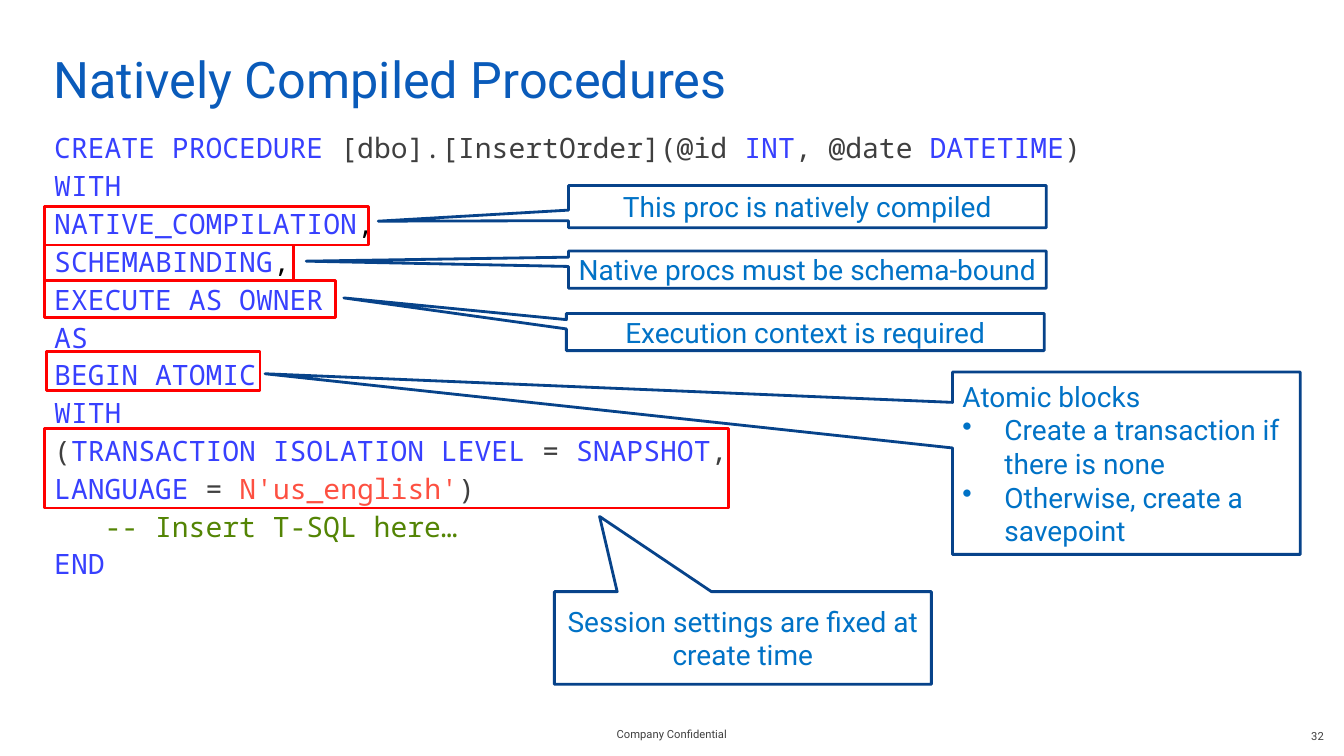
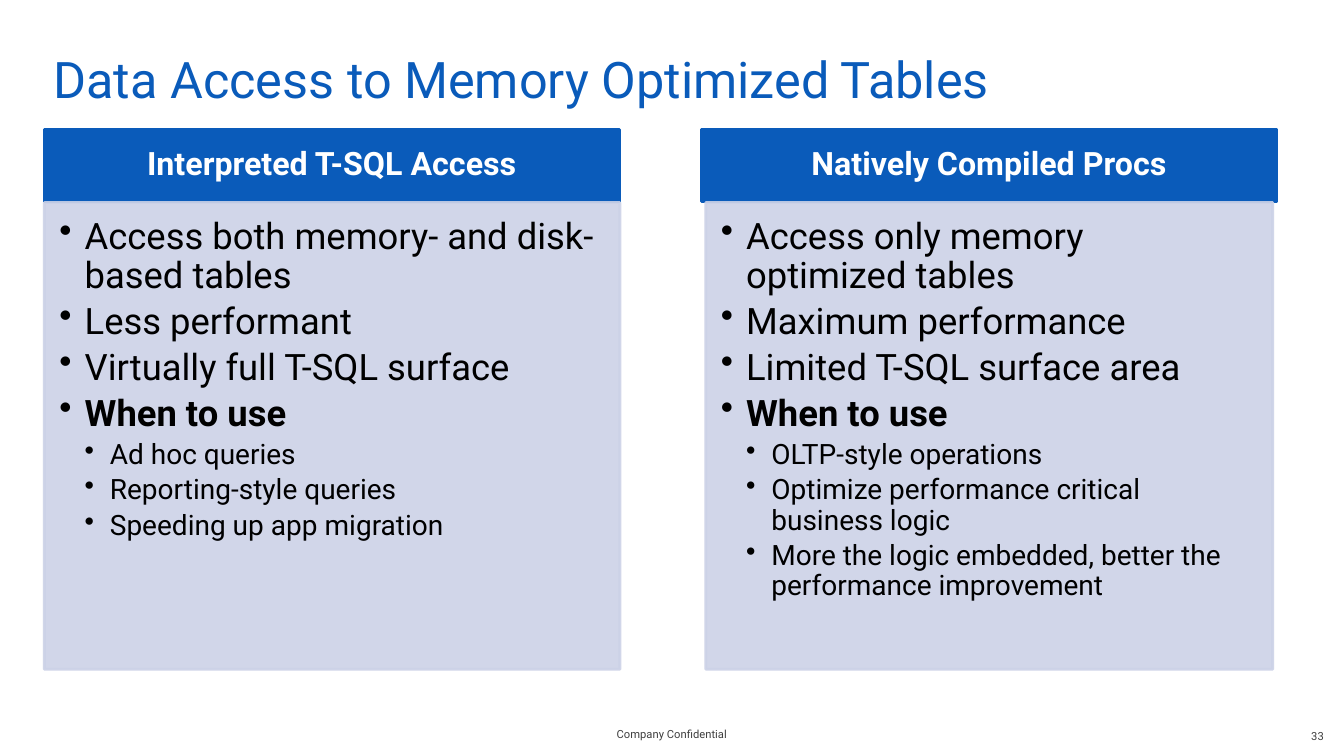
import pptx
import pptx.dml.color
import pptx.enum.shapes
import pptx.enum.text
import pptx.oxml.ns
import pptx.util
from lxml import etree

Pt = pptx.util.Pt
SHAPE = pptx.enum.shapes.MSO_SHAPE
ALIGN = pptx.enum.text.PP_ALIGN
ANCHOR = pptx.enum.text.MSO_ANCHOR

SLIDE_WIDTH, SLIDE_HEIGHT = 960, 540
TEXT_FONT, CODE_FONT = "Roboto", "Noto Sans Mono"
BRAND_BLUE, CALLOUT_TEXT, CALLOUT_LINE = "0A5BBA", "0072C6", "07438A"
PANEL, RED, GRAY, BLACK, WHITE = "CCD2E7", "FF0000", "3F3F3F", "000000", "FFFFFF"
KEYWORD, STRING, COMMENT = "3740FE", "FD5041", "538404"
FOOTER = "Company Confidential"
BODY_LEFT = 31.7

CODE_TITLE = "Natively Compiled Procedures"
CODE = [
    [("CREATE PROCEDURE ", KEYWORD), ("[dbo].[InsertOrder](@id ", GRAY), ("INT", KEYWORD),
     (", @date ", GRAY), ("DATETIME", KEYWORD), (")", GRAY)],
    [("WITH", KEYWORD)],
    [("NATIVE_COMPILATION", KEYWORD), (",", BLACK)],
    [("SCHEMABINDING", KEYWORD), (",", BLACK)],
    [("EXECUTE AS OWNER", KEYWORD)],
    [("AS", KEYWORD)],
    [("BEGIN ATOMIC", KEYWORD)],
    [("WITH", KEYWORD)],
    [("(", GRAY), ("TRANSACTION ISOLATION LEVEL ", KEYWORD), ("= ", GRAY),
     ("SNAPSHOT", KEYWORD), (",", GRAY)],
    [("LANGUAGE", KEYWORD), (" = ", GRAY), ("N'us_english'", STRING), (")", GRAY)],
    [("\t-- Insert T-SQL here…", COMMENT)],
    [("END", KEYWORD)],
]
# left, top, width, height
HIGHLIGHTS = [
    (BODY_LEFT, 147.6, 231.8, 27.4),
    (BODY_LEFT, 175, 177.8, 25.2),
    (BODY_LEFT, 200.2, 208.1, 26.6),
    (33.1, 251.3, 152.6, 27.4),
    (BODY_LEFT, 306, 488.9, 56.9),
]
# box, point of the tail, heading, bullets
CALLOUTS = [
    ((406.1, 132.5, 341.3, 30.2), (270.2, 158), "This proc is natively compiled", []),
    ((406.1, 179.3, 341.3, 26.6), (218.7, 186.6), "Native procs must be schema-bound", []),
    ((680.4, 265.7, 248.4, 130.3), (189.3, 267), "Atomic blocks",
     ["Create a transaction if there is none", "Otherwise, create a savepoint"]),
    ((404.6, 223.9, 341.3, 26.6), (245.6, 212.8), "Execution context is required", []),
    ((396, 422.6, 269.3, 66.2), (428.3, 368.9), "Session settings are fixed at create time", []),
]

COMPARISON_TITLE = "Data Access to Memory Optimized Tables"
HEADER_WIDTH, HEADER_TOP, HEADER_HEIGHT = 411.1, 92.2, 51.8
PANEL_TOP, PANEL_HEIGHT = 144.7, 333.4
WHEN = "When to use"
# header left, panel left, panel width, heading, points, uses
COLUMNS = [
    (BODY_LEFT, BODY_LEFT, 411.1, "Interpreted T-SQL Access",
     ["Access both memory- and disk-based tables", "Less performant",
      "Virtually full T-SQL surface"],
     ["Ad hoc queries", "Reporting-style queries", "Speeding up app migration"]),
    (501.1, 504.2, 404.9, "Natively Compiled Procs",
     ["Access only memory optimized tables", "Maximum performance",
      "Limited T-SQL surface area"],
     ["OLTP-style operations", "Optimize performance critical business logic",
      "More the logic embedded, better the performance improvement"]),
]


def rgb(color):
    return pptx.dml.color.RGBColor.from_string(color)


def set_font(font, size, color, name=TEXT_FONT, bold=False):
    font.size, font.name, font.bold = Pt(size), name, bold
    font.color.rgb = rgb(color)


def set_frame(shape, anchor, insets=(7.2, 3.6, 7.2, 3.6)):
    frame = shape.text_frame
    frame.word_wrap = True
    frame.vertical_anchor = anchor
    (frame.margin_left, frame.margin_top,
     frame.margin_right, frame.margin_bottom) = map(Pt, insets)
    return frame


def next_paragraph(frame):
    """Return the empty first paragraph, or a new one after the last."""
    first = frame.paragraphs[0]
    return frame.add_paragraph() if first.runs else first


def add_bullet(paragraph, left, hanging):
    properties = paragraph._p.get_or_add_pPr()
    properties.set("marL", str(Pt(left)))
    properties.set("indent", str(-Pt(hanging)))
    bullet = etree.SubElement(properties, pptx.oxml.ns.qn("a:buChar"))
    bullet.set("char", "•")


def add_text(slide, box, text, size, color, align=ALIGN.LEFT, anchor=ANCHOR.MIDDLE,
             insets=(14.4, 3.6, 14.4, 3.6)):
    shape = slide.shapes.add_textbox(*map(Pt, box))
    paragraph = set_frame(shape, anchor, insets).paragraphs[0]
    paragraph.text, paragraph.alignment = text, align
    set_font(paragraph.font, size, color)


def add_box(slide, box, line, fill=None, kind=SHAPE.RECTANGLE):
    shape = slide.shapes.add_shape(kind, *map(Pt, box))
    shape.shadow.inherit = False
    if fill:
        shape.fill.solid()
        shape.fill.fore_color.rgb = rgb(fill)
    else:
        shape.fill.background()
    shape.line.color.rgb = rgb(line)
    shape.line.width = Pt(2)
    return shape


def set_opacity(shape, percent):
    """Apply one opacity to the fill and the line."""
    for color in shape._element.spPr.iter(pptx.oxml.ns.qn("a:srgbClr")):
        etree.SubElement(color, pptx.oxml.ns.qn("a:alpha")).set("val", str(percent * 1000))


def add_slide(presentation, title, number):
    slide = presentation.slides.add_slide(presentation.slide_layouts[6])
    add_text(slide, (367.9, 509.8, 223.9, 28.8), FOOTER, 8, GRAY, ALIGN.CENTER)
    add_text(slide, (23.8, 23.8, 887.8, 54), title, 36, BRAND_BLUE,
             anchor=ANCHOR.TOP, insets=(14.4, 10.8, 7.2, 3.6))
    add_text(slide, (736.6, 511.2, 223.4, 28.8), str(number), 8, GRAY, ALIGN.RIGHT)
    return slide


def add_code(slide):
    shape = slide.shapes.add_textbox(Pt(BODY_LEFT), Pt(90), Pt(880), Pt(390))
    frame = set_frame(shape, ANCHOR.TOP)
    for index, pieces in enumerate(CODE):
        paragraph = next_paragraph(frame)
        paragraph.space_before = Pt(3 if index else 0)
        for text, color in pieces:
            run = paragraph.add_run()
            run.text = text
            set_font(run.font, 20, color, CODE_FONT)


def add_callout(slide, box, tip, heading, bullets):
    left, top, width, height = box
    shape = add_box(slide, box, CALLOUT_LINE, kind=SHAPE.RECTANGULAR_CALLOUT)
    shape.adjustments[0] = (tip[0] - left) / width - 0.5
    shape.adjustments[1] = (tip[1] - top) / height - 0.5
    frame = set_frame(shape, ANCHOR.MIDDLE)
    for index, text in enumerate([heading] + bullets):
        paragraph = next_paragraph(frame)
        paragraph.text = text
        paragraph.alignment = ALIGN.LEFT if bullets else ALIGN.CENTER
        if index:
            add_bullet(paragraph, 30, 30)
        set_font(paragraph.font, 20, CALLOUT_TEXT)


def add_column(slide, header_left, panel_left, panel_width, heading, points, uses):
    header = add_box(slide, (header_left, HEADER_TOP, HEADER_WIDTH, HEADER_HEIGHT),
                     BRAND_BLUE, BRAND_BLUE)
    paragraph = set_frame(header, ANCHOR.MIDDLE, (13, 7.2, 13, 7.2)).paragraphs[0]
    paragraph.text, paragraph.alignment = heading, ALIGN.CENTER
    paragraph.line_spacing = 0.9
    set_font(paragraph.font, 23, WHITE, bold=True)

    panel = add_box(slide, (panel_left, PANEL_TOP, panel_width, PANEL_HEIGHT), PANEL, PANEL)
    set_opacity(panel, 90)
    frame = set_frame(panel, ANCHOR.TOP, (10.8, 10.8, 14.4, 16.6))
    items = [(text, 18, 26) for text in points + [WHEN]] + [(text, 36, 20) for text in uses]
    for text, indent, size in items:
        paragraph = next_paragraph(frame)
        paragraph.text, paragraph.alignment = text, ALIGN.LEFT
        paragraph.line_spacing = 0.9
        paragraph.space_after = Pt(round(size * 0.18, 1))
        add_bullet(paragraph, indent, 18)
        set_font(paragraph.font, size, BLACK, bold=text == WHEN)


def main():
    presentation = pptx.Presentation()
    presentation.slide_width, presentation.slide_height = Pt(SLIDE_WIDTH), Pt(SLIDE_HEIGHT)

    slide = add_slide(presentation, CODE_TITLE, 32)
    add_code(slide)
    for box in HIGHLIGHTS:
        add_box(slide, box, RED)
    for callout in CALLOUTS:
        add_callout(slide, *callout)

    slide = add_slide(presentation, COMPARISON_TITLE, 33)
    for column in COLUMNS:
        add_column(slide, *column)

    presentation.save("out.pptx")


if __name__ == "__main__":
    main()
